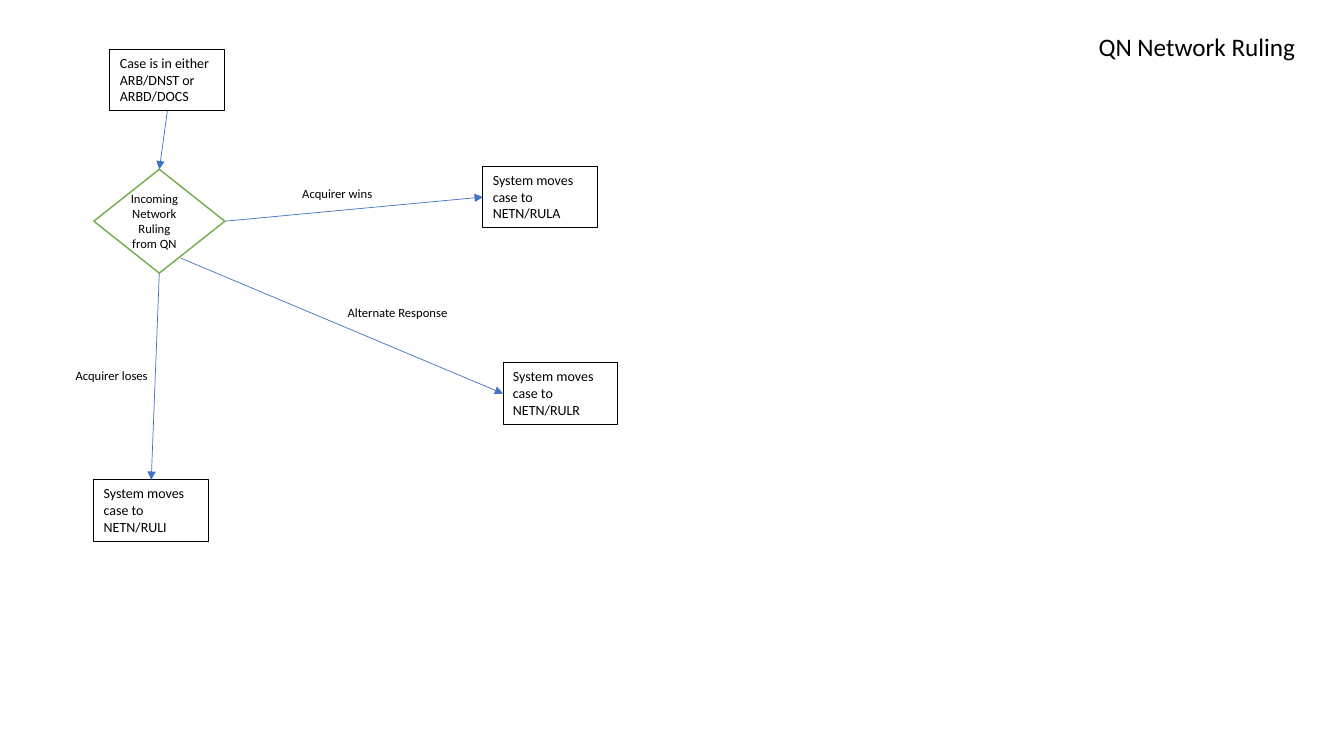
import pptx
import pptx.util
import pptx.dml.color
import pptx.enum.shapes
import pptx.enum.text
import pptx.oxml.ns
from lxml import etree

SLIDE_W, SLIDE_H = 13.33, 7.5
BLACK, WHITE, BLUE, GREEN = "000000", "FFFFFF", "4472C4", "70AD47"
BOX_W, BOX_H = 8.55, 8.13
LABEL_H = 3.33

BOXES = {
    "start": ("Case is in either ARB/DNST or ARBD/DOCS", 8.18, 6.53),
    "loses": ("System moves case to NETN/RULI", 6.98, 63.47),
    "wins": ("System moves case to NETN/RULA", 35.93, 22),
    "alternate": ("System moves case to NETN/RULR", 37.43, 48),
}
DECISION = ("Incoming Network Ruling from QN", 6.98, 22.4, 9.75, 13.73)
LABELS = [
    ("QN Network Ruling", 81, 3.47, 16.43, 5.33, 18),
    ("Acquirer wins", 21.75, 24, 6.75, LABEL_H, 9),
    ("Acquirer loses", 4.88, 48, 6.98, LABEL_H, 9),
    ("Alternate Response", 25.13, 39.73, 9.08, LABEL_H, 9),
]
TOP, LEFT, BOTTOM, RIGHT = range(4)
ARROWS = [
    ("start", BOTTOM, "decision", TOP),
    ("decision", RIGHT, "wins", LEFT),
    ("decision", BOTTOM, "loses", TOP),
    ("decision", (13.43, 34.13), "alternate", LEFT),
]

MSO_SHAPE = pptx.enum.shapes.MSO_SHAPE
ANCHOR = pptx.enum.text.MSO_ANCHOR
ALIGN = pptx.enum.text.PP_ALIGN
FIT = pptx.enum.text.MSO_AUTO_SIZE


def rgb(value):
    return pptx.dml.color.RGBColor.from_string(value)


def across(share):
    return pptx.util.Inches(SLIDE_W * share / 100)


def down(share):
    return pptx.util.Inches(SLIDE_H * share / 100)


def area(x, y, w, h):
    return across(x), down(y), across(w), down(h)


def write(sp, text, size, align=ALIGN.LEFT, **frame):
    tf = sp.text_frame
    settings = {"word_wrap": True, "vertical_anchor": ANCHOR.TOP, **frame}
    for name, value in settings.items():
        setattr(tf, name, value)
    p = tf.paragraphs[0]
    p.alignment = align
    r = p.add_run()
    r.text = text
    for name, value in {"name": "Calibri", "size": pptx.util.Pt(size)}.items():
        setattr(r.font, name, value)
    r.font.color.rgb = rgb(BLACK)


def add_node(s, kind, place, line, width, fill=None):
    sp = s.shapes.add_shape(kind, *area(*place))
    sp.shadow.inherit = False
    if fill:
        sp.fill.solid()
        sp.fill.fore_color.rgb = rgb(fill)
    else:
        sp.fill.background()
    sp.line.color.rgb = rgb(line)
    sp.line.width = pptx.util.Pt(width)
    return sp


def add_arrow(s, nodes, source, leave, target, enter):
    x, y = leave if isinstance(leave, tuple) else (0, 0)
    c = s.shapes.add_connector(
        pptx.enum.shapes.MSO_CONNECTOR.STRAIGHT, across(x), down(y), 0, 0)
    if not isinstance(leave, tuple):
        c.begin_connect(nodes[source], leave)
    c.end_connect(nodes[target], enter)
    c.line.color.rgb = rgb(BLUE)
    c.line.width = pptx.util.Pt(0.5)
    qn = pptx.oxml.ns.qn
    etree.SubElement(c.line._get_or_add_ln(), qn("a:tailEnd"), type="triangle")
    etree.SubElement(c._element.spPr, qn("a:effectLst"))


def main():
    prs = pptx.Presentation()
    prs.slide_width = pptx.util.Inches(SLIDE_W)
    prs.slide_height = pptx.util.Inches(SLIDE_H)
    s = prs.slides.add_slide(prs.slide_layouts[6])

    nodes = {}
    for name, (text, x, y) in BOXES.items():
        nodes[name] = add_node(
            s, MSO_SHAPE.RECTANGLE, (x, y, BOX_W, BOX_H), BLACK, 0.75)
        write(nodes[name], text, 10, auto_size=FIT.SHAPE_TO_FIT_TEXT)

    text, *place = DECISION
    nodes["decision"] = add_node(
        s, MSO_SHAPE.FLOWCHART_DECISION, place, GREEN, 1, WHITE)
    write(nodes["decision"], text, 9, ALIGN.CENTER,
          vertical_anchor=ANCHOR.MIDDLE, margin_left=0)

    for arrow in ARROWS:
        add_arrow(s, nodes, *arrow)

    for text, *place, size in LABELS:
        sp = s.shapes.add_textbox(*area(*place))
        write(sp, text, size, word_wrap=False, auto_size=FIT.SHAPE_TO_FIT_TEXT)

    prs.save("out.pptx")


if __name__ == "__main__":
    main()
